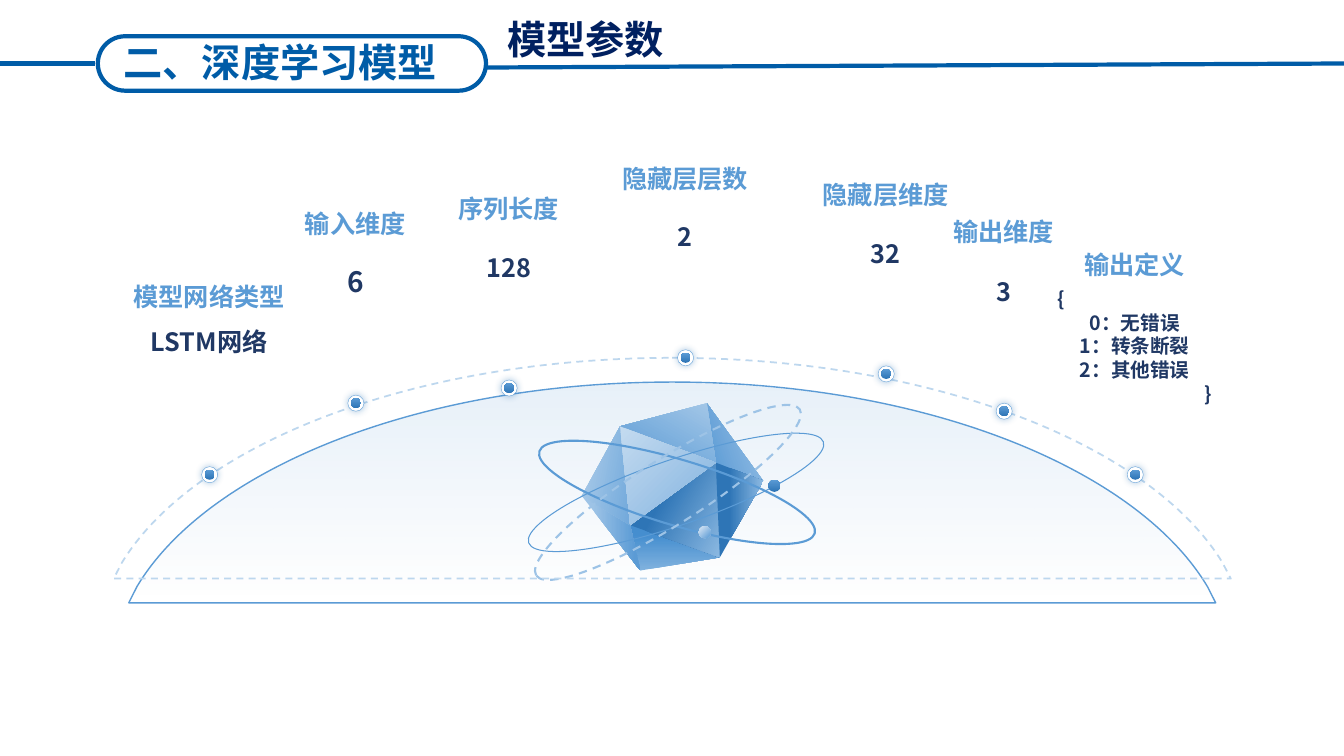
import pptx
import pptx.util
import pptx.dml.color
import pptx.enum.dml
import pptx.enum.shapes
import pptx.enum.text
from lxml import etree
from pptx.oxml.ns import qn
from pptx.util import Inches, Pt

FONT = "Noto Sans CJK SC"
COLORS = {"frame": "005CA7", "title": "002060", "value": "203864", "blue": "5B9BD5",
          "deep": "2E75B6", "pale": "BDD7EE", "orbit": "9DC3E6", "white": "FFFFFF"}
SHAPE = pptx.enum.shapes.MSO_SHAPE
ALIGN = pptx.enum.text.PP_ALIGN
ANCHOR = pptx.enum.text.MSO_ANCHOR
DASH = pptx.enum.dml.MSO_LINE.DASH

# Parameter markers: dot centre x, y, label top, value top, label, value lines, size, spacing
PARAMETERS = [
    (2.08, 4.71, 2.69, 3.09, "模型网络类型", ["LSTM网络"], 18, 1.5),
    (11.26, 4.71, 2.37, 2.85, "输出定义",
     ["{", "0：无错误", "1：转条断裂", "2：其他错误", "}"], 14, 1),
    (3.53, 4.0, 1.97, 2.46, "输入维度", ["6"], 20, 1.5),
    (9.96, 4.08, 2.05, 2.59, "输出维度", ["3"], 18, 1.5),
    (6.8, 3.55, 1.52, 2.05, "隐藏层层数", ["2"], 18, 1.5),
    (8.79, 3.71, 1.68, 2.21, "隐藏层维度", ["32"], 18, 1.5),
    (5.05, 3.85, 1.82, 2.35, "序列长度", ["128"], 18, 1.5),
]
BRACES = {"{": ALIGN.LEFT, "}": ALIGN.RIGHT}

# Crystal corners and facets: corners, first stop, second stop, clockwise angle
CORNERS = {"top_left": (6.15, 4.23), "top": (7.01, 4.0), "right": (7.57, 4.77),
           "low_right": (7.14, 5.53), "bottom": (6.35, 5.66), "left": (5.77, 4.92),
           "front_up": (7.1, 4.59), "front_low": (6.25, 5.21)}
FACETS = [
    ("low_right bottom front_low", (1, "7FB1DE"), (78, "458ECF"), 270),
    ("left front_low bottom", (19, "9DC3E6"), (92, "5B9BD5"), 0),
    ("left top_left front_low", (0, "ADCDEA"), (100, "72A9DB"), 10),
    ("front_up low_right front_low", (36, "2E75B6"), (100, "8CB9E2"), 30),
    ("front_up top right", (1, "9DC3E6"), (92, "5B9BD5"), 160),
    ("front_up right low_right", (28, "2E75B6"), (100, "8CB9E2"), 0),
    ("top_left top front_up", (0, "A5C8E8"), (100, "5B9BD5"), 120),
    ("top_left front_up front_low", (0, "C4DBF0"), (100, "81B2DF"), 45),
]


def rgb(value):
    return pptx.dml.color.RGBColor.from_string(value)


def set_line(s, color=None, width=1, dash=None):
    if color is None:
        s.line.fill.background()
        return
    s.line.color.rgb = rgb(color)
    s.line.width = Pt(width)
    if dash:
        s.line.dash_style = dash


def set_gradient(s, first, second, angle, alphas=()):
    s.fill.gradient()
    s.fill.gradient_angle = -angle % 360
    for stop, (position, color) in zip(s.fill.gradient_stops, (first, second)):
        stop.position = position / 100
        stop.color.rgb = rgb(color)
    colors = s._element.spPr.find(qn("a:gradFill")).iter(qn("a:srgbClr"))
    for color, alpha in zip(colors, alphas):
        etree.SubElement(color, qn("a:alpha"), val=str(alpha * 1000))


def add_shape(sl, kind, x, y, w, h):
    s = sl.shapes.add_shape(kind, Inches(x), Inches(y), Inches(w), Inches(h))
    s.shadow.inherit = False
    s.fill.background()
    return s


def add_polygon(sl, points):
    points = [(Inches(x), Inches(y)) for x, y in points]
    builder = sl.shapes.build_freeform(*points[0])
    builder.add_line_segments(points[1:], close=True)
    s = builder.convert_to_shape()
    s.shadow.inherit = False
    s.fill.background()
    return s


def fold_curve(segments):
    """Turn three line segments into one Bezier curve through their points."""
    curve = segments[0]
    curve.tag = qn("a:cubicBezTo")
    for segment in segments[1:]:
        curve.append(segment[0])
        segment.getparent().remove(segment)


def add_dome(sl, top, half):
    """Closed arch: two Bezier quarters mirrored about the slide centre."""
    quarter = [(0, 0), (0.463 * half, 0), (0.855 * half, 0.855), (0.985 * half, 2.03),
               (half, 2.19)]
    right = [(6.667 + x, top + y) for x, y in quarter]
    left = [(6.667 - x, top + y) for x, y in reversed(quarter)]
    s = add_polygon(sl, right + left)
    segments = list(s._element.spPr.iter(qn("a:lnTo")))
    fold_curve(segments[:3])
    fold_curve(segments[6:9])
    return s


def add_rule(sl, x1, y1, x2, y2):
    c = sl.shapes.add_connector(pptx.enum.shapes.MSO_CONNECTOR.STRAIGHT,
                                Inches(x1), Inches(y1), Inches(x2), Inches(y2))
    set_line(c, COLORS["frame"], 3)
    etree.SubElement(c._element.spPr, qn("a:effectLst"))


def write(tf, lines, size, color, align=ALIGN.CENTER, spacing=1):
    tf.text = "\n".join(lines)
    for p in tf.paragraphs:
        p.alignment = BRACES.get(p.text, align)
        p.line_spacing = spacing
        for r in p.runs:
            r.font.name, r.font.size, r.font.bold = FONT, Pt(size), True
            r.font.color.rgb = rgb(color)
            etree.SubElement(r._r.get_or_add_rPr(), qn("a:ea"), typeface=FONT)


def add_text(sl, x, y, h, lines, size, color, anchor, spacing=1):
    tf = sl.shapes.add_textbox(Inches(x), Inches(y), Inches(1.53), Inches(h)).text_frame
    tf.word_wrap = True
    tf.vertical_anchor = anchor
    tf.margin_left = tf.margin_right = tf.margin_top = tf.margin_bottom = 0
    write(tf, lines, size, color, spacing=spacing)


def add_dot(sl, x, y, size, first, second, angle):
    s = add_shape(sl, SHAPE.OVAL, x - size / 2, y - size / 2, size, size)
    set_gradient(s, (1, first), (100, second), angle)
    set_line(s)


def add_parameter(sl, x, y, label_top, value_top, label, lines, size, spacing):
    ring = add_shape(sl, SHAPE.OVAL, x - 0.08, y - 0.08, 0.16, 0.16)
    ring.fill.solid()
    ring.fill.fore_color.rgb = rgb(COLORS["white"])
    set_line(ring, COLORS["blue"], 0.25)
    effects = ring._element.spPr.find(qn("a:effectLst"))
    glow = etree.SubElement(effects, qn("a:outerShdw"), blurRad=str(Pt(5)), dist="0", dir="0")
    color = etree.SubElement(glow, qn("a:srgbClr"), val=COLORS["deep"])
    etree.SubElement(color, qn("a:alpha"), val="40000")
    add_dot(sl, x, y, 0.1, COLORS["deep"], COLORS["blue"], 270)
    left = x - 0.77
    add_text(sl, left, value_top, 0.77 if len(lines) == 1 else 1.01, lines, size,
             COLORS["value"], ANCHOR.TOP, spacing)
    add_text(sl, left, label_top, 0.4, [label], 18, COLORS["blue"], ANCHOR.BOTTOM)


def add_header(sl):
    add_rule(sl, 4.82, 0.67, 13.33, 0.63)
    add_rule(sl, 0, 0.63, 0.94, 0.63)
    pill = add_shape(sl, SHAPE.ROUNDED_RECTANGLE, 0.97, 0.36, 3.85, 0.54)
    pill.adjustments[0] = 0.5
    set_line(pill, COLORS["frame"], 3)
    tf = pill.text_frame
    tf.margin_left = tf.margin_top = 0
    tf.margin_right, tf.margin_bottom = Inches(0.23), Inches(0.03)
    tf.vertical_anchor = ANCHOR.MIDDLE
    tf.word_wrap = False
    write(tf, ["二、深度学习模型"], 28, COLORS["frame"])

    title = sl.shapes.title
    title.left, title.top = Inches(4.93), Inches(0.1)
    title.width, title.height = Inches(4.43), Inches(0.57)
    title.text_frame.vertical_anchor = ANCHOR.TOP
    write(title.text_frame, ["模型参数"], 28, COLORS["title"], ALIGN.LEFT)


def add_crystal(sl):
    for names, first, second, angle in FACETS:
        s = add_polygon(sl, [CORNERS[name] for name in names.split()])
        set_gradient(s, first, second, angle)
        set_line(s)
    # Orbits and their particles
    for x, w, turn, color, width, dash in [
            (5.16, 3.09, 341.1, "blue", 0.75, None),
            (5.29, 2.85, 16.6, "blue", 1.5, None),
            (5.08, 3.09, 327.8, "orbit", 1.5, DASH)]:
        s = add_shape(sl, SHAPE.OVAL, x, 4.56, w, 0.65)
        s.rotation = turn
        set_line(s, COLORS[color], width, dash)
    add_dot(sl, 7.68, 4.82, 0.12, COLORS["deep"], COLORS["blue"], 270)
    add_dot(sl, 6.99, 5.28, 0.12, "DEEBF7", COLORS["blue"], 45)


def main():
    prs = pptx.Presentation()
    prs.slide_width, prs.slide_height = Inches(13.33), Inches(7.5)
    sl = prs.slides.add_slide(prs.slide_layouts[5])
    add_header(sl)
    # Filled dome, crystal and dashed outer arch
    dome = add_dome(sl, 3.79, 5.39)
    set_gradient(dome, (0, COLORS["blue"]), (100, COLORS["blue"]), 90, (15, 0))
    set_line(dome, COLORS["blue"], 1)
    add_crystal(sl)
    set_line(add_dome(sl, 3.55, 5.54), COLORS["pale"], 1.25, DASH)
    for parameter in PARAMETERS:
        add_parameter(sl, *parameter)
    prs.save("out.pptx")


if __name__ == "__main__":
    main()
